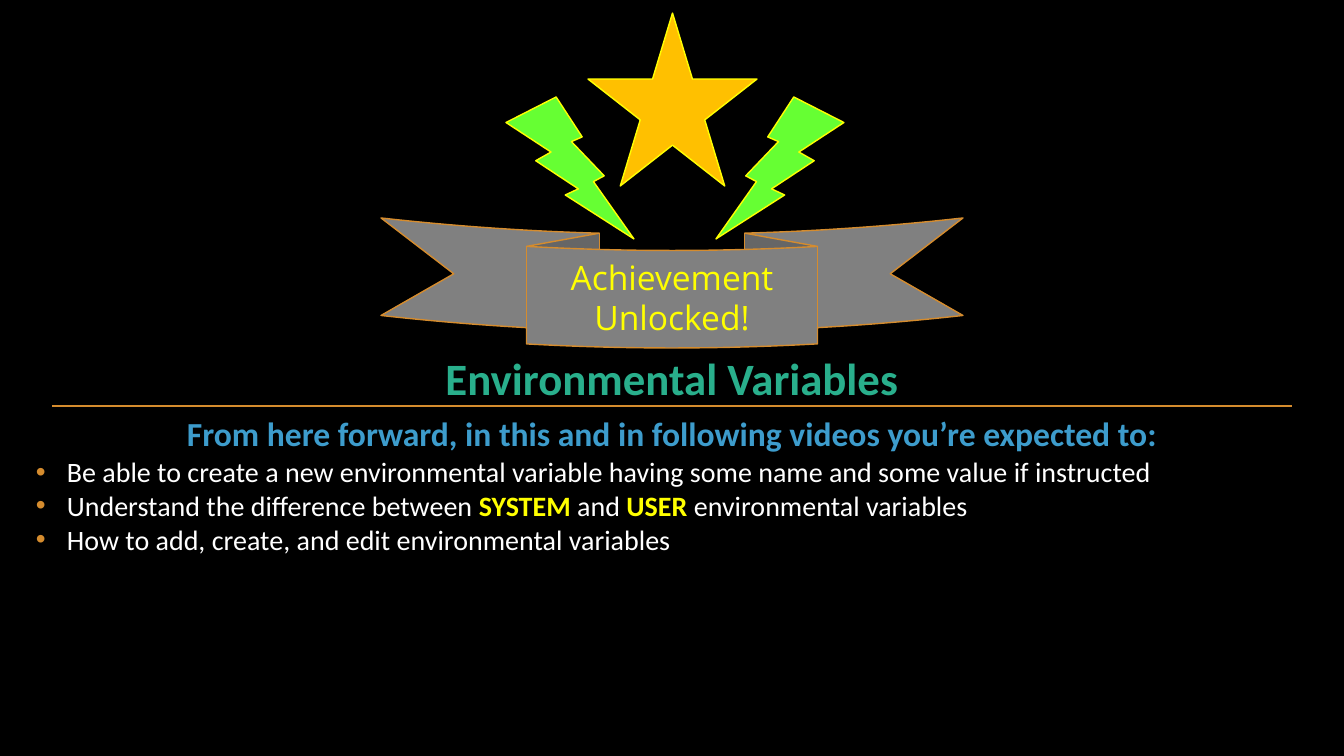
import pptx
import pptx.dml.color
import pptx.enum.shapes
import pptx.enum.text
import pptx.oxml.ns
import pptx.util
from lxml import etree

EMU_PER_PX = 914400 / 100.8
COLOURS = {
    "background": "000000",
    "gold": "FFC000",
    "yellow": "FFFF00",
    "green": "66FF33",
    "grey": "808080",
    "orange": "D58C2E",
    "teal": "29AF8C",
    "blue": "3D9CCC",
    "white": "FFFFFF",
}
EXPECTATIONS = [
    ["Be able to create a new environmental variable having some name and some value if instructed"],
    ["Understand the difference between ", "SYSTEM", " and ", "USER", " environmental variables"],
    ["How to add, create, and edit environmental variables"],
]
KEYWORDS = {"SYSTEM", "USER"}
BULLET_INDENT = 31


def px(length):
    return pptx.util.Emu(round(length * EMU_PER_PX))


def colour(name):
    return pptx.dml.color.RGBColor.from_string(COLOURS[name])


def add_child(parent, tag, **attributes):
    return etree.SubElement(parent, pptx.oxml.ns.qn(tag), attributes)


def format_run(run, size, colour_name, bold=False, font_name="Calibri"):
    run.font.name = font_name
    run.font.size = pptx.util.Pt(size)
    run.font.bold = bold
    run.font.color.rgb = colour(colour_name)


def write_centred(text_frame, text, *run_format):
    text_frame.word_wrap = True
    text_frame.text = text
    paragraph = text_frame.paragraphs[0]
    paragraph.alignment = pptx.enum.text.PP_ALIGN.CENTER
    format_run(paragraph.runs[0], *run_format)


def add_badge_shape(slide, kind, box, fill, line, flipped=False):
    shape = slide.shapes.add_shape(kind, *map(px, box))
    shape.shadow.inherit = False
    shape.fill.solid()
    shape.fill.fore_color.rgb = colour(fill)
    shape.line.color.rgb = colour(line)
    shape.line.width = pptx.util.Pt(1)
    if flipped:
        shape.element.spPr.xfrm.set("flipH", "1")
    return shape


def add_badge(slide):
    kinds = pptx.enum.shapes.MSO_SHAPE
    add_badge_shape(slide, kinds.STAR_5_POINT, (588, 13, 169, 173), "gold", "yellow")
    for left, flipped in ((506, False), (716, True)):
        add_badge_shape(slide, kinds.LIGHTNING_BOLT, (left, 97, 128, 142), "green", "yellow", flipped)
    ribbon = add_badge_shape(slide, kinds.CURVED_DOWN_RIBBON, (381, 218, 582, 130), "grey", "orange")
    ribbon.text_frame.vertical_anchor = pptx.enum.text.MSO_ANCHOR.MIDDLE
    write_centred(ribbon.text_frame, "Achievement Unlocked!", 24, "yellow", False, "Open Sans")


def add_heading(slide, box, text, size, colour_name):
    text_box = slide.shapes.add_textbox(*map(px, box))
    write_centred(text_box.text_frame, text, size, colour_name, True)


def add_rule(slide, left, right, top):
    rule = slide.shapes.add_connector(
        pptx.enum.shapes.MSO_CONNECTOR.STRAIGHT, px(left), px(top), px(right), px(top))
    rule.line.color.rgb = colour("orange")
    rule.line.width = pptx.util.Pt(1.5)
    add_child(rule.element.spPr, "a:effectLst")


def add_bullet(paragraph):
    properties = paragraph._p.get_or_add_pPr()
    properties.set("marL", str(px(BULLET_INDENT)))
    properties.set("indent", str(-px(BULLET_INDENT)))
    bullet_colour = add_child(properties, "a:buClr")
    add_child(bullet_colour, "a:srgbClr", val=COLOURS["orange"])
    add_child(properties, "a:buFont", typeface="Arial")
    add_child(properties, "a:buChar", char="•")


def add_bullet_list(slide, box, items):
    """Each item is a list of text pieces; keywords among them are highlighted."""
    text_frame = slide.shapes.add_textbox(*map(px, box)).text_frame
    text_frame.word_wrap = True
    for index, pieces in enumerate(items):
        paragraph = text_frame.add_paragraph() if index else text_frame.paragraphs[0]
        add_bullet(paragraph)
        for piece in pieces:
            run = paragraph.add_run()
            run.text = piece
            highlighted = piece in KEYWORDS
            format_run(run, 20, "yellow" if highlighted else "white", highlighted)


def main():
    presentation = pptx.Presentation()
    presentation.slide_width = px(1344)
    presentation.slide_height = px(756)
    slide = presentation.slides.add_slide(presentation.slide_layouts[6])
    slide.background.fill.solid()
    slide.background.fill.fore_color.rgb = colour("background")

    add_badge(slide)
    add_heading(slide, (336, 346, 672, 65), "Environmental Variables", 32, "teal")
    add_rule(slide, 52, 1292, 406)
    add_bullet_list(slide, (26, 450, 1292, 112), EXPECTATIONS)
    add_heading(slide, (171, 408, 1002, 50),
                "From here forward, in this and in following videos you’re expected to:", 24, "blue")
    presentation.save("out.pptx")


if __name__ == "__main__":
    main()
